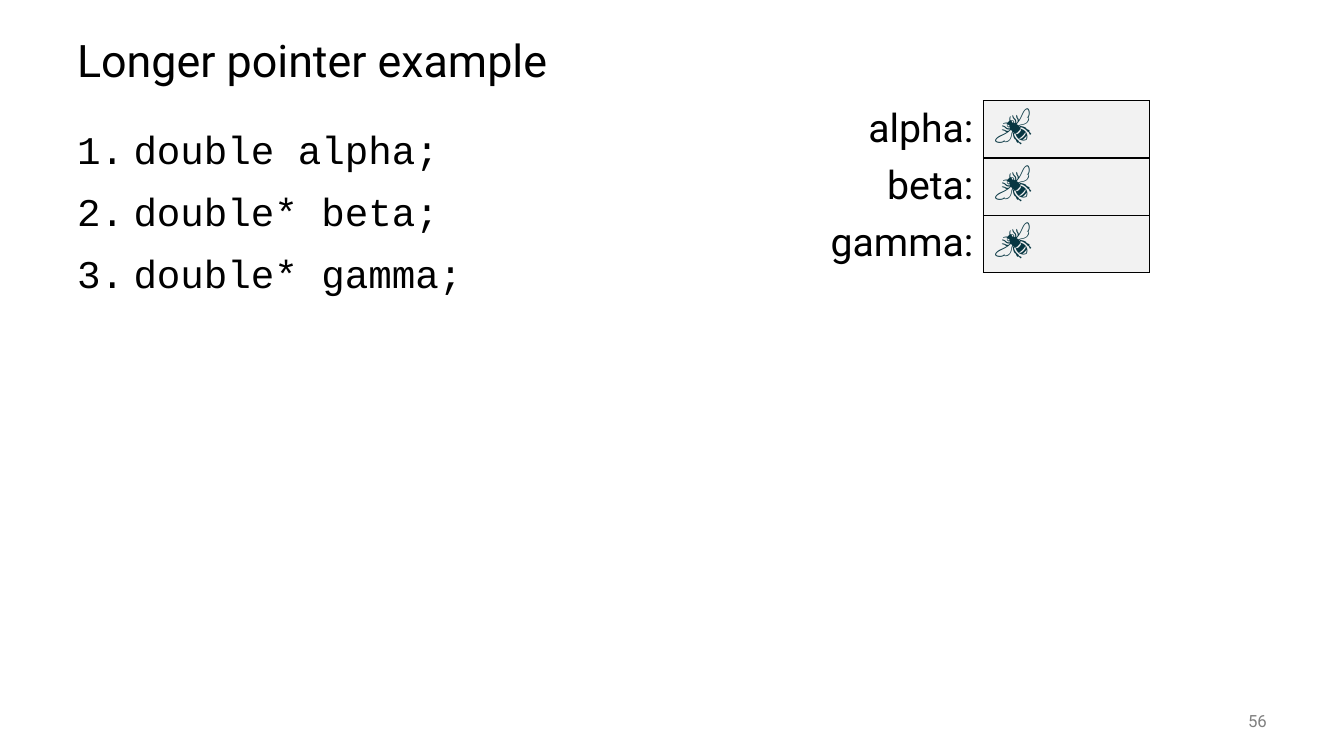
from dataclasses import dataclass
from typing import Optional

from lxml import etree
from pptx import Presentation
from pptx import util as u
from pptx.dml.color import RGBColor
from pptx.enum import text
from pptx.oxml import ns

BLACK = RGBColor(0x00, 0x00, 0x00)
GREY = RGBColor(0x80, 0x80, 0x80)
TEAL = RGBColor(0x07, 0x36, 0x42)
CELL_GREY = RGBColor(0xF2, 0xF2, 0xF2)

SANS = "Roboto"
MONO = "Courier New"

SLIDE_WIDTH = u.Inches(13.33)
SLIDE_HEIGHT = u.Inches(7.5)
COLUMN = SLIDE_WIDTH / 80
ROW = SLIDE_HEIGHT / 30


@dataclass(frozen=True)
class Area:
    column: float
    row: float
    columns: float
    rows: float

    def box(self) -> tuple[u.Emu, ...]:
        return (u.Emu(round(self.column * COLUMN)), u.Emu(round(self.row * ROW)),
                u.Emu(round(self.columns * COLUMN)), u.Emu(round(self.rows * ROW)))


@dataclass(frozen=True)
class Style:
    size: float
    face: str
    color: RGBColor
    align: text.PP_ALIGN = text.PP_ALIGN.LEFT


@dataclass(frozen=True)
class TextBlock:
    area: Area
    lines: tuple[str, ...]
    style: Style
    anchor: text.MSO_ANCHOR = text.MSO_ANCHOR.MIDDLE
    line_spacing: float = 1.0
    space_before: float = 0
    numbered: bool = False


LABEL = Style(28, SANS, BLACK, text.PP_ALIGN.RIGHT)
VALUE = Style(28, MONO, TEAL)

BLOCKS = (
    TextBlock(Area(4, 1, 72, 3), ("Longer pointer example",),
              Style(32, SANS, BLACK), line_spacing=0.9),
    TextBlock(Area(4, 5, 72, 22),
              ("double alpha;", "double* beta;", "double* gamma;"),
              Style(28, MONO, BLACK), text.MSO_ANCHOR.TOP, 0.9, 14, True),
    TextBlock(Area(70, 27.8, 6, 1.6), ("56",),
              Style(12, SANS, GREY, text.PP_ALIGN.RIGHT)),
)

VARIABLES = (("alpha:", "🐝"), ("beta:", "🐝"), ("gamma:", "🐝"))
MEMORY_AREA = Area(48.67, 4, 19.74, 2.22 * len(VARIABLES))


def style_paragraph(paragraph, style: Style) -> None:
    paragraph.alignment = style.align
    paragraph.font.size = u.Pt(style.size)
    paragraph.font.name = style.face
    paragraph.font.color.rgb = style.color


def number_paragraph(paragraph) -> None:
    properties = paragraph._p.get_or_add_pPr()
    hang = u.Inches(0.56)
    properties.set("marL", str(hang))
    properties.set("indent", str(-hang))
    etree.SubElement(properties, ns.qn("a:buAutoNum"), type="arabicPeriod")


def draw_block(slide, block: TextBlock) -> None:
    frame = slide.shapes.add_textbox(*block.area.box()).text_frame
    frame.word_wrap = True
    frame.vertical_anchor = block.anchor
    for index, line in enumerate(block.lines):
        paragraph = frame.add_paragraph() if index else frame.paragraphs[0]
        paragraph.text = line
        if block.numbered:
            number_paragraph(paragraph)
        paragraph.line_spacing = block.line_spacing
        if index:
            paragraph.space_before = u.Pt(block.space_before)
        style_paragraph(paragraph, block.style)


def draw_border(cell, side: str, color: Optional[RGBColor]) -> None:
    line = etree.SubElement(cell._tc.get_or_add_tcPr(), ns.qn(f"a:ln{side}"),
                            w=str(u.Pt(1)))
    if color is None:
        etree.SubElement(line, ns.qn("a:noFill"))
    else:
        solid = etree.SubElement(line, ns.qn("a:solidFill"))
        etree.SubElement(solid, ns.qn("a:srgbClr"), val=str(color))


def fill_cell(cell, content: str, style: Style, lined_sides: str,
              fill: Optional[RGBColor]) -> None:
    cell.text = content
    style_paragraph(cell.text_frame.paragraphs[0], style)
    for side in "LRTB":
        draw_border(cell, side, BLACK if side in lined_sides else None)
    if fill is None:
        cell.fill.background()
    else:
        cell.fill.solid()
        cell.fill.fore_color.rgb = fill


def draw_memory(slide) -> None:
    memory = slide.shapes.add_table(len(VARIABLES), 2, *MEMORY_AREA.box()).table
    memory.first_row = False
    memory.horz_banding = False
    for row, (name, value) in enumerate(VARIABLES):
        fill_cell(memory.cell(row, 0), name, LABEL, "R", None)
        fill_cell(memory.cell(row, 1), value, VALUE, "LRTB", CELL_GREY)


def main() -> None:
    deck = Presentation()
    deck.slide_width = SLIDE_WIDTH
    deck.slide_height = SLIDE_HEIGHT
    slide = deck.slides.add_slide(deck.slide_layouts[6])
    for block in BLOCKS:
        draw_block(slide, block)
    draw_memory(slide)
    deck.save("out.pptx")


if __name__ == "__main__":
    main()
